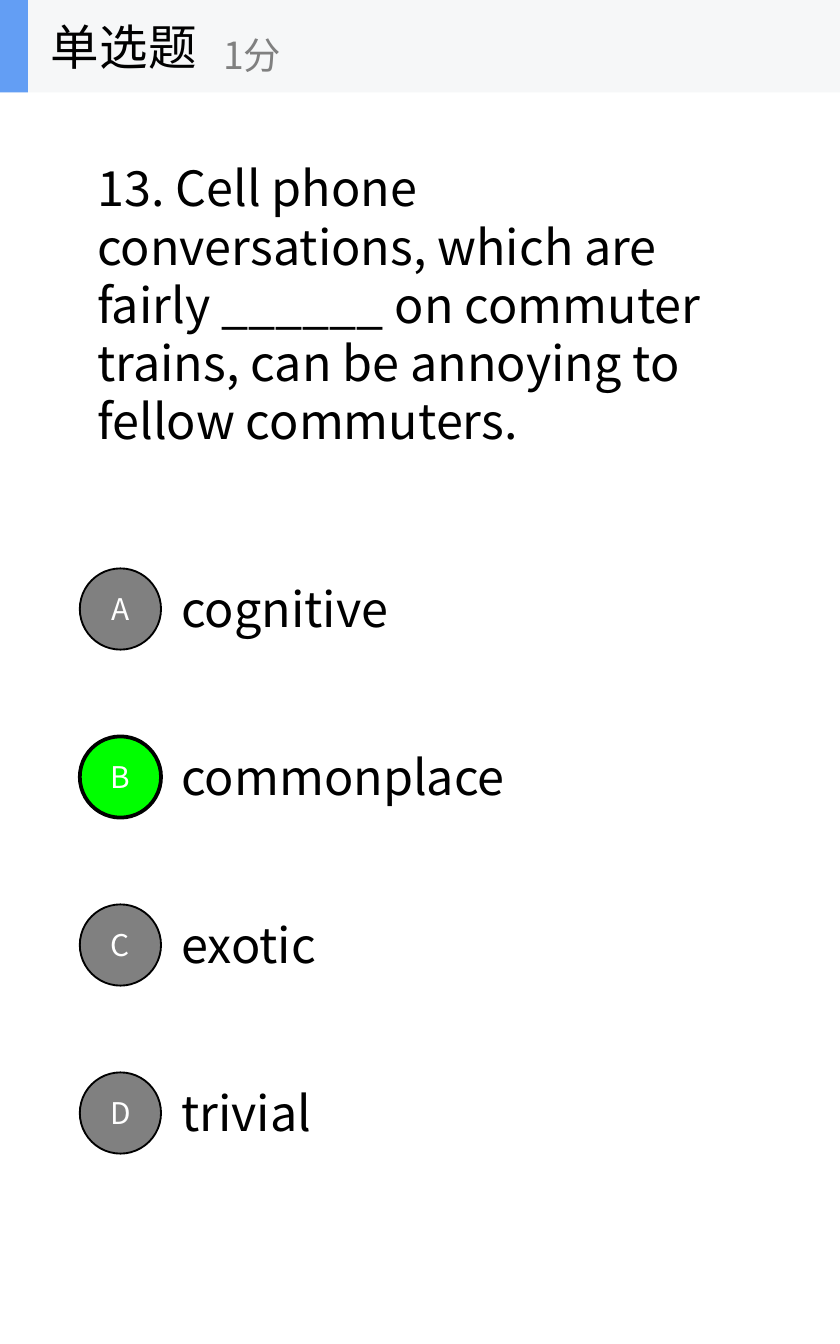
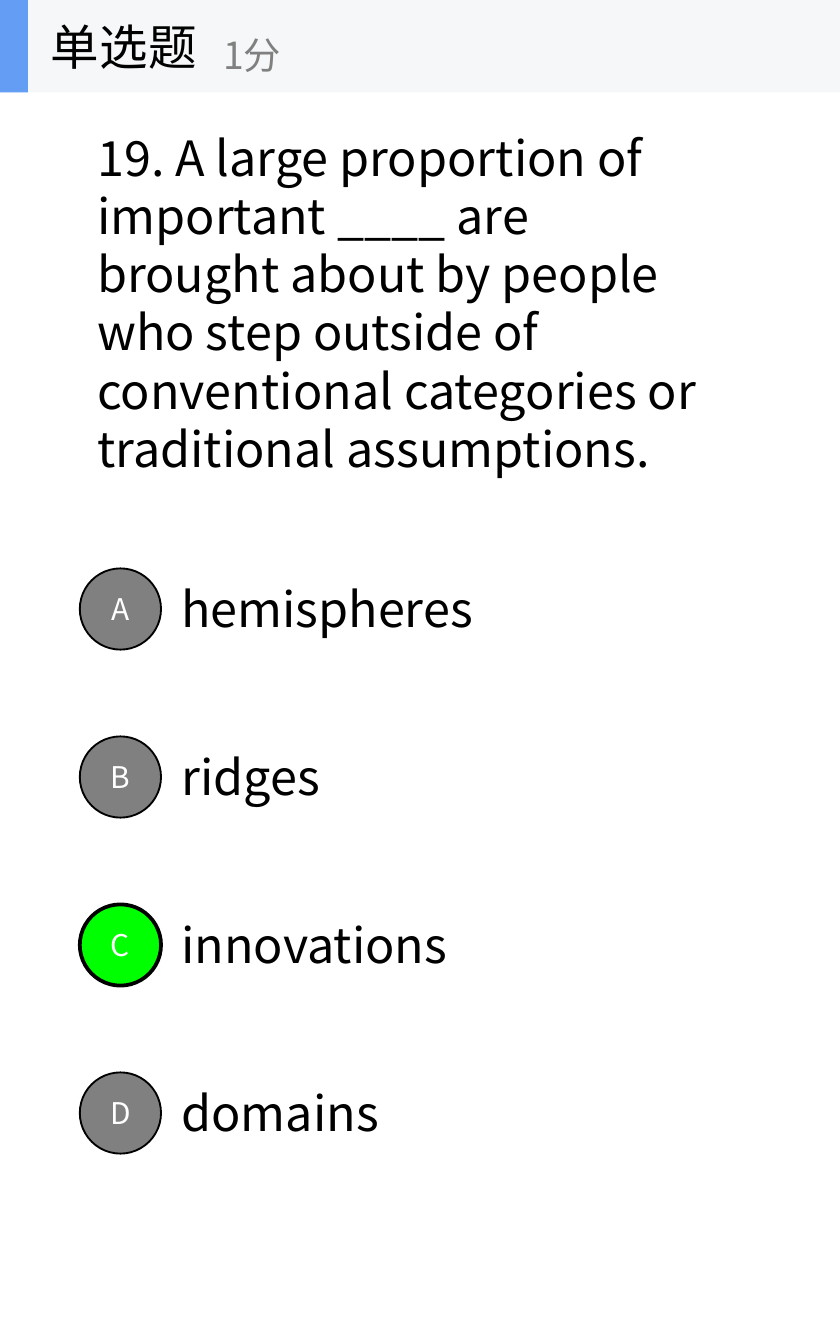
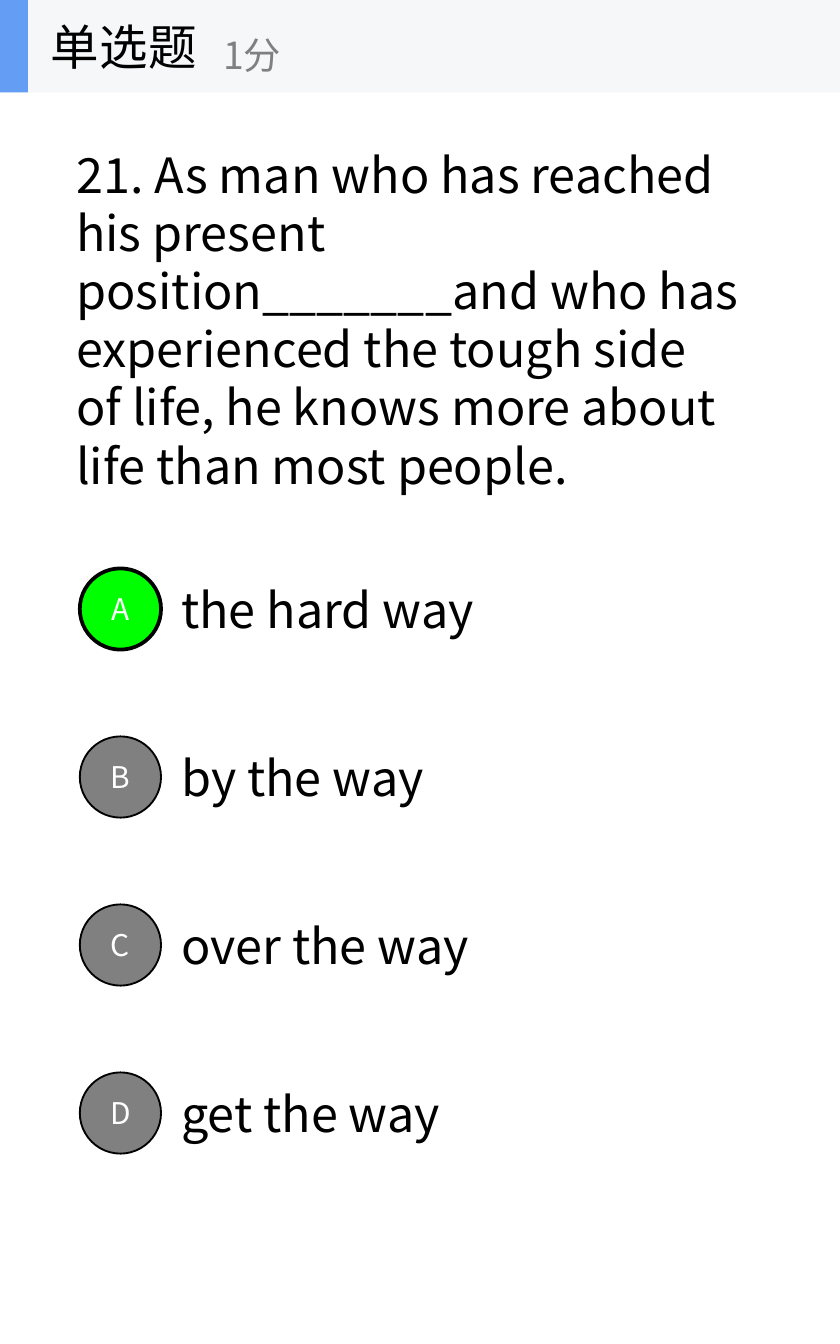
from pptx import Presentation
from pptx.dml.color import RGBColor
from pptx.enum.shapes import MSO_SHAPE
from pptx.enum.text import MSO_ANCHOR, MSO_AUTO_SIZE, PP_ALIGN
from pptx.oxml.ns import qn
from pptx.util import Emu, Pt

RECT, OVAL = MSO_SHAPE.RECTANGLE, MSO_SHAPE.OVAL
MID = MSO_ANCHOR.MIDDLE
LEFT, CENTER = PP_ALIGN.LEFT, PP_ALIGN.CENTER
GROW, FIXED = MSO_AUTO_SIZE.SHAPE_TO_FIT_TEXT, MSO_AUTO_SIZE.NONE

PX = 9525  # 96 px to the inch
FONT = "Noto Sans CJK SC"
HUES = {
    "ink": "000000",
    "paper": "FFFFFF",
    "gray": "808080",
    "right": "00FF00",
    "band": "F6F7F8",
    "accent": "639EF4",
}

# Layout
WIDE, HIGH = 600, 960
BAND = 66                # header height
DOT, DOT_X = 58, 57      # answer circle
OPT_X = 120              # answer text
FIRST, STEP = 435, 120   # middle of the first answer, distance to the next

# Each question: text, box, right letter, grow to text, answer height, answers
QUIZ = [
    ("13. Cell phone conversations, which are fairly ______ on commuter trains, "
     "can be annoying to fellow commuters.",
     (60, 107, 460, 220), "B", True, 51,
     [("cognitive", 181), ("commonplace", 265), ("exotic", 128), ("trivial", 120)]),
    ("19. A large proportion of important ____ are brought about by people who "
     "step outside of conventional categories or traditional assumptions.",
     (60, 85, 465, 262), "C", True, 51,
     [("hemispheres", 240), ("ridges", 132), ("innovations", 222), ("domains", 172)]),
    ("21. As man who has reached his present position_______and who has "
     "experienced the tough side of life, he knows more about life than most people.",
     (45, 78, 494, 300), "A", False, 90,
     [("the hard way", 420), ("by the way", 420), ("over the way", 420),
      ("get the way", 420)]),
]


def write(shape, text, size=26, hue="ink", align=LEFT, wrap=True, grow=False):
    frame = shape.text_frame
    frame.word_wrap = wrap
    frame.auto_size = GROW if grow else FIXED
    frame.vertical_anchor = MID
    par = frame.paragraphs[0]
    par.alignment = align
    run = par.add_run()
    run.text = text
    run.font.size = Pt(size)
    run.font.name = FONT
    run.font.color.rgb = RGBColor.from_string(HUES[hue])
    east = run.font._element.makeelement(qn("a:ea"), {"typeface": FONT})
    run.font._element.find(qn("a:latin")).addnext(east)


def draw(shapes, kind, box, fill, line=0):
    shape = shapes.add_shape(kind, *[Emu(n * PX) for n in box])
    shape.shadow.inherit = False
    shape.fill.solid()
    shape.fill.fore_color.rgb = RGBColor.from_string(HUES[fill])
    if line:
        shape.line.color.rgb = RGBColor.from_string(HUES["ink"])
        shape.line.width = Pt(line)
    else:
        shape.line.fill.background()
    return shape


deck = Presentation()
deck.slide_width, deck.slide_height = Emu(WIDE * PX), Emu(HIGH * PX)

for ask, box, right, grow, tall, answers in QUIZ:
    slide = deck.slides.add_slide(deck.slide_layouts[6])
    shapes = slide.shapes

    # Question
    write(shapes.add_textbox(*[Emu(n * PX) for n in box]), ask, grow=grow)

    # Answers
    for i, (text, width) in enumerate(answers):
        mid = FIRST + i * STEP
        top = mid - (tall + 1) // 2
        label = shapes.add_textbox(*[Emu(n * PX) for n in (OPT_X, top, width, tall)])
        write(label, text, grow=grow)
        letter = "ABCD"[i]
        hit = letter == right
        dot = draw(shapes, OVAL, (DOT_X, mid - DOT // 2, DOT, DOT),
                   "right" if hit else "gray", line=2 if hit else 1)
        write(dot, letter, size=16, hue="paper", align=CENTER)

    # Header
    head = shapes.add_group_shape().shapes
    draw(head, RECT, (0, 0, WIDE, BAND), "band")
    draw(head, RECT, (0, 0, 20, BAND), "accent")
    title = head.add_textbox(*[Emu(n * PX) for n in (27, 0, 200, BAND)])
    write(title, "单选题", wrap=False)
    score = head.add_textbox(*[Emu(n * PX) for n in (150, 12, 240, 54)])
    write(score, "1分", size=20, hue="gray", wrap=False)

deck.save("out.pptx")
